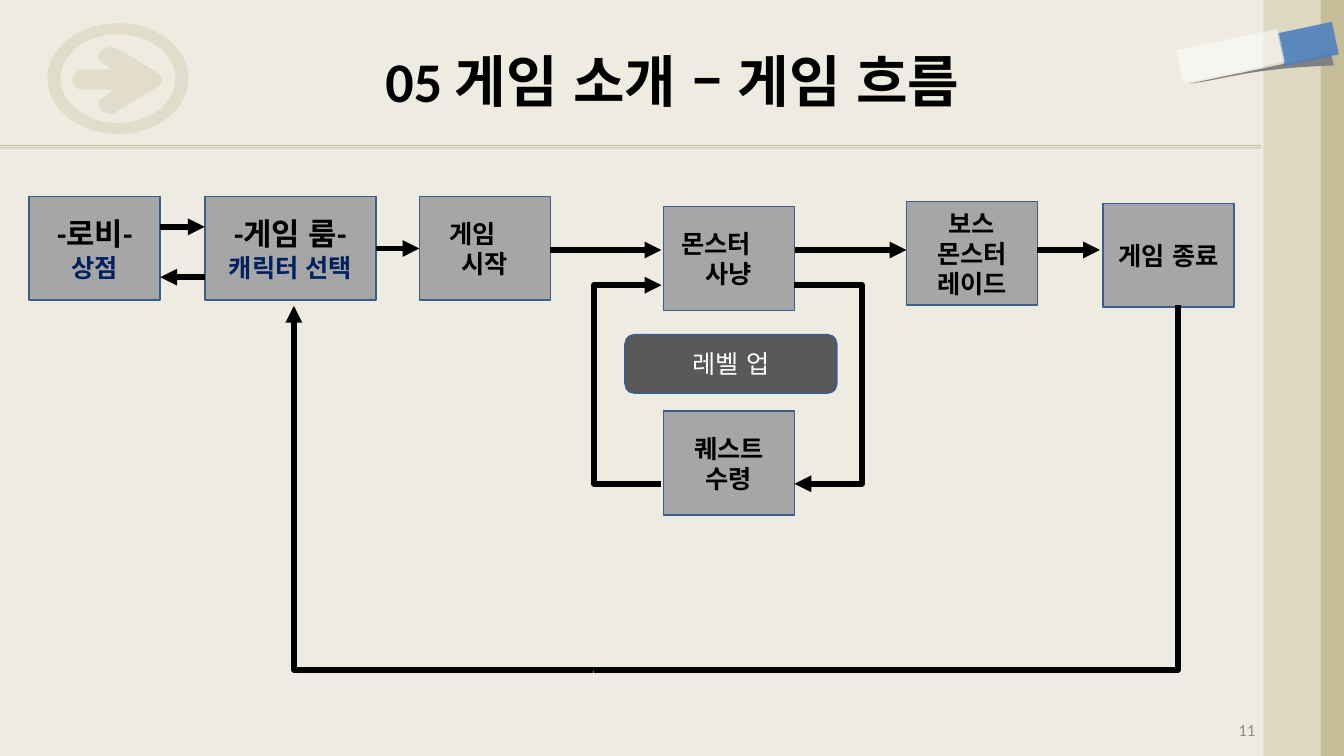
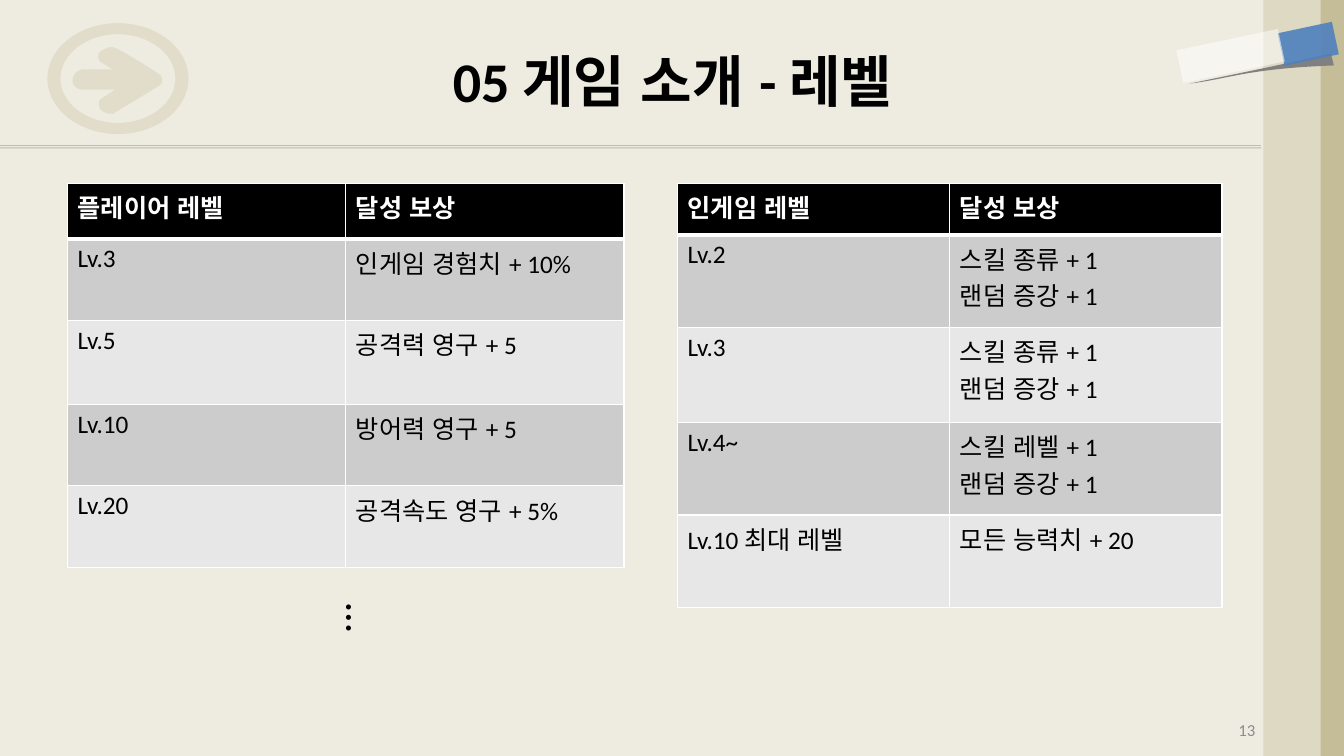
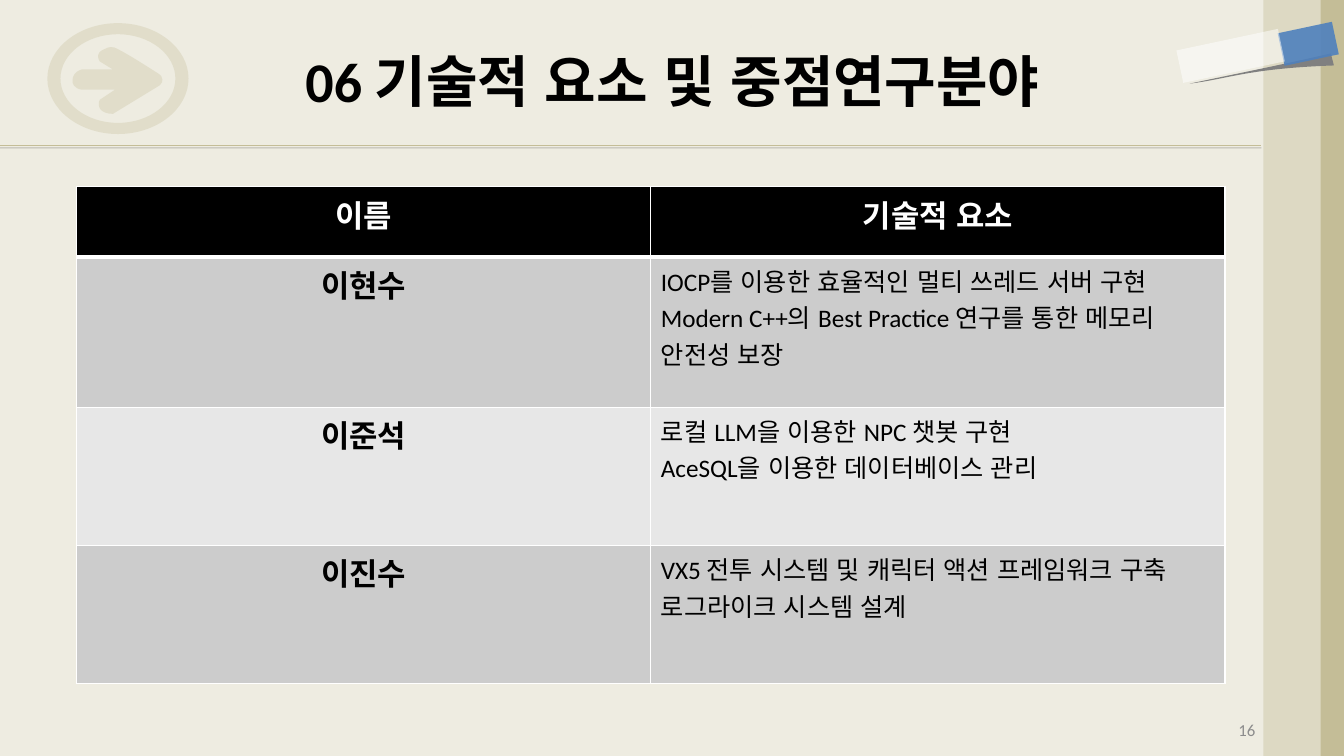
from dataclasses import dataclass

from lxml import etree
from pptx import Presentation
from pptx import util as u
from pptx.dml.color import RGBColor
from pptx.enum import lang, shapes, text
from pptx.oxml.ns import qn


@dataclass(frozen=True)
class Theme:
    font: str = "Calibri"
    paper: str = "EEECE1"
    sand: str = "DDD9C3"
    tan: str = "C4BD97"
    blue: str = "4F81BD"
    shade: str = "808080"
    box: str = "A6A6A6"
    edge: str = "3A5F8C"
    navy: str = "002060"
    badge: str = "595959"
    note: str = "8C8C8C"
    ink: str = "000000"
    white: str = "FFFFFF"
    bands: tuple = ("CCCCCC", "E7E7E7")
    title: int = 40
    dots: int = 30
    head: int = 22
    body: int = 18
    foot: int = 12


T = Theme()
MID = text.PP_ALIGN.CENTER
RECT = shapes.MSO_SHAPE.RECTANGLE
LINE = shapes.MSO_CONNECTOR.STRAIGHT
BENT = shapes.MSO_CONNECTOR.ELBOW

TITLES = [
    ("05 게임 소개 – 게임 흐름", 11),
    ("05 게임 소개 - 레벨", 13),
    ("06 기술적 요소 및 중점연구분야", 16),
]

BIG = (T.head, T.ink)
STD = (T.body, T.ink)
SUB = (T.body, T.navy)
BOXES = {
    "lobby": (0.29, 1.95, 1.3, [("-로비-", BIG), ("상점", SUB)]),
    "room": (2.03, 1.95, 1.7, [("-게임 룸-", BIG), ("캐릭터 선택", SUB)]),
    "start": (4.16, 1.95, 1.3, [("게임　시작", STD)]),
    "hunt": (6.58, 2.05, 1.3, [("몬스터　사냥", STD)]),
    "quest": (6.58, 4.08, 1.3, [("퀘스트", STD), ("수령", STD)]),
    "boss": (8.99, 2, 1.3, [("보스 몬스터 레이드", STD)]),
    "end": (10.94, 2.02, 1.3, [("게임 종료", STD)]),
}
TALL = 1.03
FLOW = 2.48

LINKS = [
    ((1.59, 2.25), (2.03, 2.25)),
    ((2.03, 2.75), (1.59, 2.75)),
    ((5.45, FLOW), (6.56, FLOW)),
    ((7.89, FLOW), (8.99, FLOW)),
    ((10.29, FLOW), (10.91, FLOW)),
]
TURNS = [
    ((7.88, 2.83, 0.67, 1.3), 0, False),
    ((7.88, 4.13, 0.67, 0.67), 180, True),
    ((5.89, 3.5, 0.67, 1.3), 180, False),
    ((5.89, 2.83, 0.67, 0.67), 0, True),
    ((6.98, 1.94, 3.62, 5.79), 90, False),
    ((2.59, 3.36, 3.62, 2.97), 270, True),
]

PLAYER = [
    ("플레이어 레벨", "달성 보상"),
    ("Lv.3", "인게임 경험치 + 10%"),
    ("Lv.5", "공격력 영구 + 5"),
    ("Lv.10", "방어력 영구 + 5"),
    ("Lv.20", "공격속도 영구 + 5%"),
]
INGAME = [
    ("인게임 레벨", "달성 보상"),
    ("Lv.2", "스킬 종류 + 1\n랜덤 증강 + 1"),
    ("Lv.3", "스킬 종류 + 1\n랜덤 증강 + 1"),
    ("Lv.4~", "스킬 레벨 + 1\n랜덤 증강 + 1"),
    ("Lv.10 최대 레벨", "모든 능력치 + 20"),
]
TECH = [
    ("이름", "기술적 요소"),
    ("이현수", "IOCP를 이용한 효율적인 멀티 쓰레드 서버 구현\n"
     "Modern C++의 Best Practice 연구를 통한 메모리 안전성 보장"),
    ("이준석", "로컬 LLM을 이용한 NPC 챗봇 구현\nAceSQL을 이용한 데이터베이스 관리"),
    ("이진수", "VX5 전투 시스템 및 캐릭터 액션 프레임워크 구축\n로그라이크 시스템 설계"),
]

ARROW = [
    (1.57, 0.73),
    (1.49, 0.68, 1.23, 0.51, 1.13, 0.47),
    (1.07, 0.46, 1.06, 0.48, 1.01, 0.5),
    (0.97, 0.52, 0.96, 0.57, 0.99, 0.61),
    (1.12, 0.69), (0.81, 0.69),
    (0.74, 0.71, 0.72, 0.76, 0.72, 0.79),
    (0.71, 0.83, 0.74, 0.88, 0.81, 0.89),
    (1.14, 0.89), (0.99, 0.99),
    (0.97, 1.02, 0.98, 1.07, 1, 1.09),
    (1.02, 1.11, 1.06, 1.13, 1.12, 1.13),
    (1.35, 0.99, 1.58, 0.85, 1.58, 0.85),
    (1.61, 0.82, 1.61, 0.81, 1.61, 0.79),
    (1.61, 0.77, 1.6, 0.75, 1.57, 0.73),
]
WEDGE = [
    (13.2, 0.53), (13.23, 0.65),
    (12.38, 0.68, 12.2, 0.78, 11.8, 0.83),
    (12.27, 0.73, 12.73, 0.64, 13.2, 0.53),
]


def rgb(tone):
    return RGBColor.from_string(tone)


def inch(*nums):
    return [u.Inches(n) for n in nums]


def style(para, size, tone, bold=False, align=None):
    para.alignment = align
    for run in para.runs:
        font = run.font
        font.name, font.size, font.bold = T.font, u.Pt(size), bold
        font.language_id = lang.MSO_LANGUAGE_ID.KOREAN
        font.color.rgb = rgb(tone)


def paint(shape, tone, alpha=100, edge=None):
    shape.shadow.inherit = False
    shape.fill.solid()
    shape.fill.fore_color.rgb = rgb(tone)
    if alpha < 100:
        for clr in shape._element.spPr.iter(qn("a:srgbClr")):
            etree.SubElement(clr, qn("a:alpha"), val=str(alpha * 1000))
    if edge:
        shape.line.color.rgb = rgb(edge)
        shape.line.width = u.Pt(1.25)
    else:
        shape.line.fill.background()


def block(slide, at, tone, alpha=100, turn=0, kind=RECT, edge=None):
    shape = slide.shapes.add_shape(kind, *inch(*at))
    shape.rotation = turn
    paint(shape, tone, alpha, edge)
    return shape


def fill_in(shape, words):
    frame = shape.text_frame
    frame.word_wrap = True
    frame.vertical_anchor = text.MSO_ANCHOR.MIDDLE
    frame.text = words
    return frame.paragraphs


def label(slide, at, words, size, tone, bold=False, align=None):
    shape = slide.shapes.add_textbox(*inch(*at))
    for para in fill_in(shape, words):
        style(para, size, tone, bold, align)
    return shape


def oval(wide, high, x=1.17, y=0.78, bow=0.55):
    ends = [(0, -1), (1, 0), (0, 1), (-1, 0), (0, -1)]
    steps = [(x, y - high)]
    for (a, b), (c, d) in zip(ends, ends[1:]):
        knots = [(a + bow * c, b + bow * d), (c + bow * a, d + bow * b), (c, d)]
        steps.append(tuple(n for p, q in knots for n in (x + wide * p, y + high * q)))
    return steps


def outline(slide, loops, tone, alpha=100):
    first, *rest = [[inch(*step[-2:]) for step in loop] for loop in loops]
    pen = slide.shapes.build_freeform(*first[0])
    pen.add_line_segments(first[1:])
    for loop in rest:
        pen.move_to(*loop[0])
        pen.add_line_segments(loop[1:])
    shape = pen.convert_to_shape()
    sides = list(shape._element.iter(qn("a:lnTo")))
    steps = [step for loop in loops for step in loop[1:]]
    for side, step in zip(sides, steps):
        if len(step) == 6:
            side.tag = qn("a:cubicBezTo")
            for i in (0, 1):
                x, y = inch(*step[2 * i:2 * i + 2])
                knot = etree.Element(qn("a:pt"), x=str(x - shape.left), y=str(y - shape.top))
                side.insert(i, knot)
    paint(shape, tone, alpha)


def link(slide, a, b, tone=T.ink, width=4, head=True, kind=LINE):
    line = slide.shapes.add_connector(kind, *inch(*a, *b))
    line.line.color.rgb = rgb(tone)
    line.line.width = u.Pt(width)
    stroke = line.line._get_or_add_ln()
    etree.SubElement(stroke, qn("a:round"))
    if head:
        etree.SubElement(stroke, qn("a:tailEnd"), type="triangle")
    etree.SubElement(line._element.spPr, qn("a:effectLst"))
    return line


def bend(slide, at, turn, head):
    left, top, wide, high = at
    line = link(slide, (left, top), (left + wide, top + high), head=head, kind=BENT)
    props = line._element.spPr
    frame, geom = props.find(qn("a:xfrm")), props.find(qn("a:prstGeom"))
    frame.set("rot", str(turn * 60000))
    if head:
        frame.set("flipV", "1")
        guides = geom.find(qn("a:avLst"))
        etree.SubElement(guides, qn("a:gd"), name="adj1", fmla="val 300")
    else:
        geom.set("prst", "bentConnector2")


def base(deck, words, page):
    slide = deck.slides.add_slide(deck.slide_layouts[6])
    rule = link(slide, (0, 1.44), (12.51, 1.44), T.tan, 0.75, False)
    glow = etree.SubElement(rule._element.spPr.find(qn("a:effectLst")), qn("a:outerShdw"),
                            dist=str(u.Pt(2)), dir="5400000", rotWithShape="0")
    clr = etree.SubElement(glow, qn("a:srgbClr"), val=T.ink)
    etree.SubElement(clr, qn("a:alpha"), val="22000")
    outline(slide, [ARROW], T.tan, 30)
    outline(slide, [oval(0.7, 0.55), oval(0.57, 0.44)], T.tan, 30)
    block(slide, (12.55, 0, 0.79, 7.5), T.tan)
    block(slide, (12.53, 0, 0.57, 7.5), T.sand)
    outline(slide, [WEDGE], T.shade)
    block(slide, (12.81, 0.16, 0.33, 0.55), T.blue, 90, 78)
    block(slide, (12.04, 0.04, 0.33, 1.03), T.white, 50, 78)
    label(slide, (0.67, 0.17, 12, 1.25), words, T.title, T.ink, True, MID)
    label(slide, (9.44, 7.08, 3.11, 0.33), str(page), T.foot, T.note, align=text.PP_ALIGN.RIGHT)
    return slide


def border(cell, side, width):
    edge = etree.SubElement(cell._tc.get_or_add_tcPr(), qn("a:" + side), w=str(u.Pt(width)))
    fill = etree.SubElement(edge, qn("a:solidFill"))
    etree.SubElement(fill, qn("a:srgbClr"), val=T.white)


def grid(slide, rows, left, top, wide, highs, key=False):
    table = slide.shapes.add_table(len(rows), 2, *inch(left, top, wide, sum(highs))).table
    for col in table.columns:
        col.width = u.Inches(wide / 2)
    for r, (row, high) in enumerate(zip(rows, highs)):
        table.rows[r].height = u.Inches(high)
        for c, words in enumerate(row):
            cell = table.cell(r, c)
            for side in ("lnL", "lnR", "lnT", "lnB"):
                heavy = (r, side) in ((0, "lnB"), (1, "lnT"))
                border(cell, side, 3 if heavy else 1)
            cell.fill.solid()
            cell.fill.fore_color.rgb = rgb(T.bands[(r - 1) % 2] if r else T.ink)
            cell.text_frame.text = words
            main = key and (r == 0 or c == 0)
            for para in cell.text_frame.paragraphs:
                style(para, T.head if main else T.body, T.ink if r else T.white,
                      r == 0 or main, MID if main else None)


def flow(slide):
    nodes = {}
    for name, (left, top, wide, lines) in BOXES.items():
        node = block(slide, (left, top, wide, TALL), T.box, edge=T.edge)
        words = "\n".join(line for line, _ in lines)
        for para, (_, look) in zip(fill_in(node, words), lines):
            style(para, *look, True, MID)
        nodes[name] = node
    for turn in TURNS:
        bend(slide, *turn)
    for a, b in LINKS:
        link(slide, a, b)
    enter = link(slide, (3.73, FLOW), (4.16, FLOW))
    enter.begin_connect(nodes["room"], 3)
    enter.end_connect(nodes["start"], 1)
    badge = block(slide, (6.2, 3.32, 2.1, 0.58), T.badge,
                  kind=shapes.MSO_SHAPE.ROUNDED_RECTANGLE, edge=T.edge)
    style(fill_in(badge, "레벨 업")[0], T.body, T.white, align=MID)


def levels(slide):
    grid(slide, PLAYER, 0.67, 1.82, 5.52, (0.55, 0.81, 0.83, 0.81, 0.81))
    grid(slide, INGAME, 6.72, 1.82, 5.4, (0.51, 0.92, 0.94, 0.92, 0.92))
    more = label(slide, (3.19, 5.89, 0.71, 0.52), "…", T.dots, T.ink)
    more.text_frame.vertical_anchor = text.MSO_ANCHOR.TOP
    more.text_frame._txBody.bodyPr.set("vert", "eaVert")


def tech(slide):
    grid(slide, TECH, 0.76, 1.85, 11.39, (0.7, 1.49, 1.37, 1.37), True)


def main():
    deck = Presentation()
    deck.slide_width, deck.slide_height = inch(13.33, 7.5)
    back = deck.slide_master.background.fill
    back.solid()
    back.fore_color.rgb = rgb(T.paper)
    for (words, page), draw in zip(TITLES, (flow, levels, tech)):
        draw(base(deck, words, page))
    deck.save("out.pptx")


if __name__ == "__main__":
    main()
